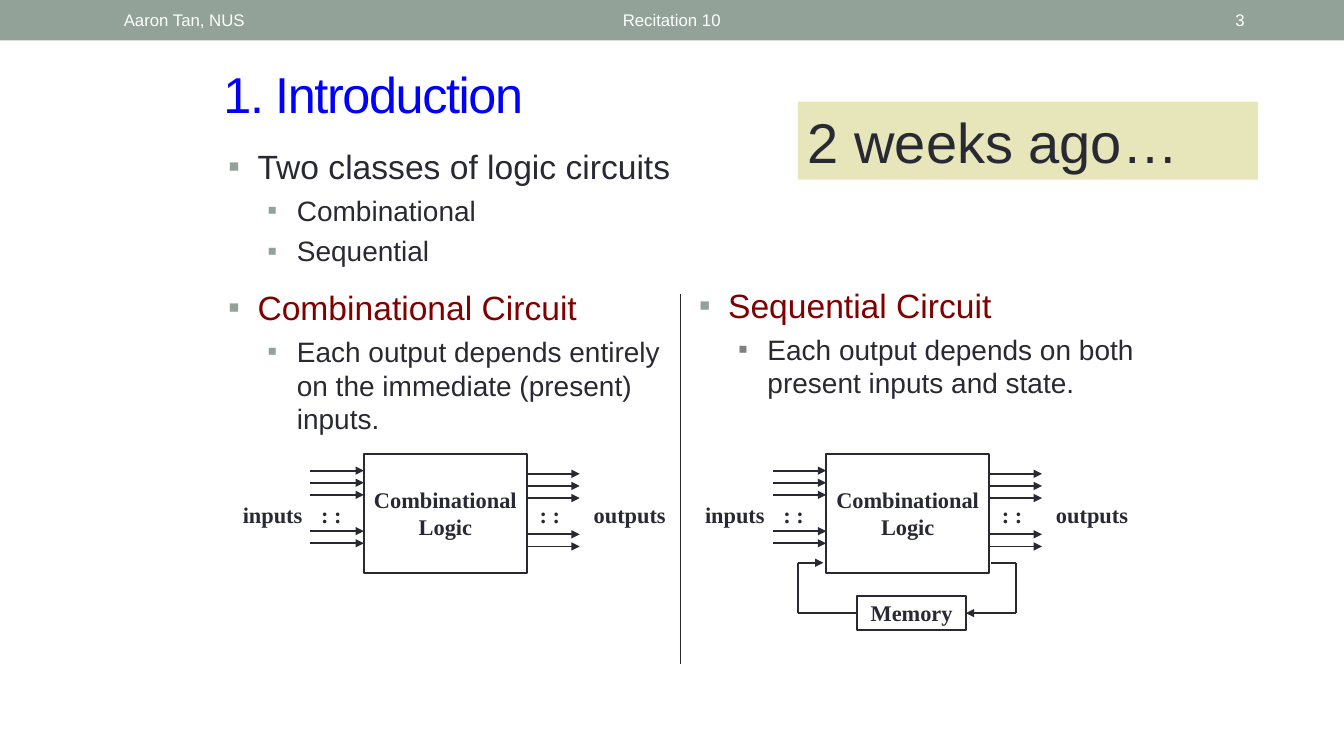
"""Build the slide that contrasts combinational and sequential circuits."""
from lxml.etree import SubElement
from pptx import Presentation
from pptx.dml.color import RGBColor
from pptx.enum.shapes import MSO_CONNECTOR as Connector, MSO_SHAPE as Shape
from pptx.enum.text import MSO_ANCHOR as Anchor, MSO_AUTO_SIZE as AutoSize, PP_ALIGN as Align
from pptx.oxml.ns import qn
from pptx.util import Cm, Pt

COLORS = {"ink": "292934", "sage": "93A299", "blue": "0000FF", "maroon": "800000",
          "cream": "E7E5BA", "gray": "808080", "white": "FFFFFF"}
SANS, SERIF = "Arial", "Times New Roman"

TITLE = "1. Introduction"
LEFT_LIST = [
    (0, "Two classes of logic circuits", "ink", 0, "sage"),
    (1, "Combinational", "ink", 5, "sage"),
    (1, "Sequential", "ink", 5, "sage"),
    (0, "Combinational Circuit", "maroon", 14, "sage"),
    (1, "Each output depends entirely on the immediate (present) inputs.", "ink", 5, "sage"),
]
RIGHT_LIST = [
    (0, "Sequential Circuit", "maroon", 0, "sage"),
    (1, "Each output depends on both present inputs and state.", "ink", 5, "gray"),
]
HEADER = [
    ("Aaron Tan, NUS", 2.87, 8.05, Align.LEFT),
    ("Recitation 10", 7.67, 18.52, Align.CENTER),
    ("3", 29.21, 2.41, Align.RIGHT),
]
CIRCUIT_LEFTS = (5.92, 17.57)
WIRE_ROWS = (0, 1, 2, 5, 6)
WIRE_STEP = 0.305
WIRES = [(1.9, 3.25, 11.86), (7.36, 8.69, 11.94)]
LABELS = [("inputs", 0, 1.9), (": :", 1.9, 1.06), (": :", 7.41, 1.06), ("outputs", 8.89, 2.12)]
FEEDBACK = [
    [(24.98, 14.18), (25.6, 14.18), (25.6, 15.45), (24.34, 15.45)],
    [(21.6, 15.45), (20.11, 15.45), (20.11, 14.18), (20.75, 14.18)],
]
LEVELS = [{"indent": 0.74, "size": 24}, {"indent": 1.73, "size": 20}]


def rgb(name):
    """Return the named colour."""
    return RGBColor.from_string(COLORS[name])


def write(para, text, size=16, color="ink", font=SERIF, bold=False, align=Align.CENTER, before=0):
    """Add formatted text to a paragraph and return its run."""
    para.alignment = align
    para.space_before = Pt(before)
    span = para.add_run()
    span.text = text
    span.font.size, span.font.name, span.font.bold = Pt(size), font, bold
    span.font.color.rgb = rgb(color)
    return span


def frame(shape, margin_x=0.25, margin_y=0.13, anchor=Anchor.MIDDLE):
    """Prepare the text frame of a shape and return it."""
    text = shape.text_frame
    text.word_wrap, text.auto_size, text.vertical_anchor = True, AutoSize.NONE, anchor
    text.margin_left = text.margin_right = Cm(margin_x)
    text.margin_top = text.margin_bottom = Cm(margin_y)
    return text


def place(shape, left, top, width, height):
    """Move and size a shape, in centimetres."""
    shape.left, shape.top, shape.width, shape.height = map(Cm, (left, top, width, height))


def add_box(shapes, left, top, width, height, fill=None, line=None):
    """Add a rectangle with an optional fill and outline."""
    box = shapes.add_shape(Shape.RECTANGLE, Cm(left), Cm(top), Cm(width), Cm(height))
    box.shadow.inherit = False
    if fill:
        box.fill.solid()
        box.fill.fore_color.rgb = rgb(fill)
    else:
        box.fill.background()
    if line:
        box.line.color.rgb, box.line.width = rgb(line), Pt(1.5)
    else:
        box.line.fill.background()
    return box


def add_line(shapes, start, end, width=1.25, arrow=True):
    """Add a straight line that may end in an arrowhead."""
    line = shapes.add_connector(Connector.STRAIGHT, *map(Cm, start + end))
    line.line.color.rgb, line.line.width = rgb("ink"), Pt(width)
    if arrow:
        SubElement(line.line._get_or_add_ln(), qn("a:tailEnd"), type="triangle")
    SubElement(line._element.spPr, qn("a:effectLst"))


def fill_list(body, items):
    """Write bulleted items into a body placeholder."""
    text = frame(body, anchor=Anchor.TOP)
    for index, (level, words, color, before, bullet) in enumerate(items):
        para = text.add_paragraph() if index else text.paragraphs[0]
        para.level = level
        props = para._p.get_or_add_pPr()
        props.set("marL", str(Cm(LEVELS[level]["indent"])))
        props.set("indent", str(-Cm(0.74)))
        SubElement(SubElement(props, qn("a:buClr")), qn("a:srgbClr"), val=COLORS[bullet])
        SubElement(props, qn("a:buFont"), typeface=SANS)
        SubElement(props, qn("a:buChar"), char="▪")
        write(para, words, LEVELS[level]["size"], color, SANS, align=Align.LEFT, before=before)


def add_circuit(shapes, left):
    """Draw a logic block with its wires and labels."""
    block = add_box(shapes, left + 3.25, 11.43, 4.11, 3, line="ink")
    text = frame(block, 0, 0)
    write(text.paragraphs[0], "Combinational", bold=True)
    write(text.add_paragraph(), "Logic", bold=True)
    for start, end, top in WIRES:
        for row in WIRE_ROWS:
            y = top + row * WIRE_STEP
            add_line(shapes, (left + start, y), (left + end, y))
    for words, offset, width in LABELS:
        label = shapes.add_textbox(Cm(left + offset), Cm(12.5), Cm(width), Cm(0.93))
        write(frame(label, 0.03).paragraphs[0], words, bold=True)


def add_memory(shapes):
    """Draw the memory block and its feedback loop."""
    memory = add_box(shapes, 21.6, 15.02, 2.75, 0.85, line="ink")
    write(frame(memory, 0.03, 0.03).paragraphs[0], "Memory", bold=True)
    for points in FEEDBACK:
        for start, end in zip(points, points[1:]):
            add_line(shapes, start, end, 1.5, arrow=end == points[-1])


def main():
    """Assemble and save the deck."""
    deck = Presentation()
    deck.slide_width, deck.slide_height = Cm(33.87), Cm(19.05)
    page = deck.slides.add_slide(deck.slide_layouts[3])
    shapes = page.shapes
    title, left_body, right_body = page.placeholders

    add_box(shapes, 0, 0, 33.87, 1.02, fill="sage")
    for words, left, width, align in HEADER:
        box = shapes.add_textbox(Cm(left), Cm(0.05), Cm(width), Cm(0.91))
        write(frame(box).paragraphs[0], words, 12, "white", SANS, align=align)

    place(title, 5.38, 1.45, 23.04, 1.78)
    heading = write(frame(title).paragraphs[0], TITLE, 36, "blue", SANS, align=Align.LEFT)
    heading.font._element.set("spc", "-100")
    place(left_body, 5.5, 3.55, 12.27, 13.6)
    fill_list(left_body, LEFT_LIST)
    place(right_body, 17.36, 7.05, 11.85, 4.2)
    fill_list(right_body, RIGHT_LIST)

    add_line(shapes, (17.15, 7.41), (17.15, 16.72), 0.75, arrow=False)
    for left in CIRCUIT_LEFTS:
        add_circuit(shapes, left)
    add_memory(shapes)

    banner = add_box(shapes, 20.11, 2.56, 11.59, 1.97, fill="cream")
    write(frame(banner).paragraphs[0], "2 weeks ago…", 40, "ink", SANS, align=Align.LEFT)
    deck.save("out.pptx")


if __name__ == "__main__":
    main()
